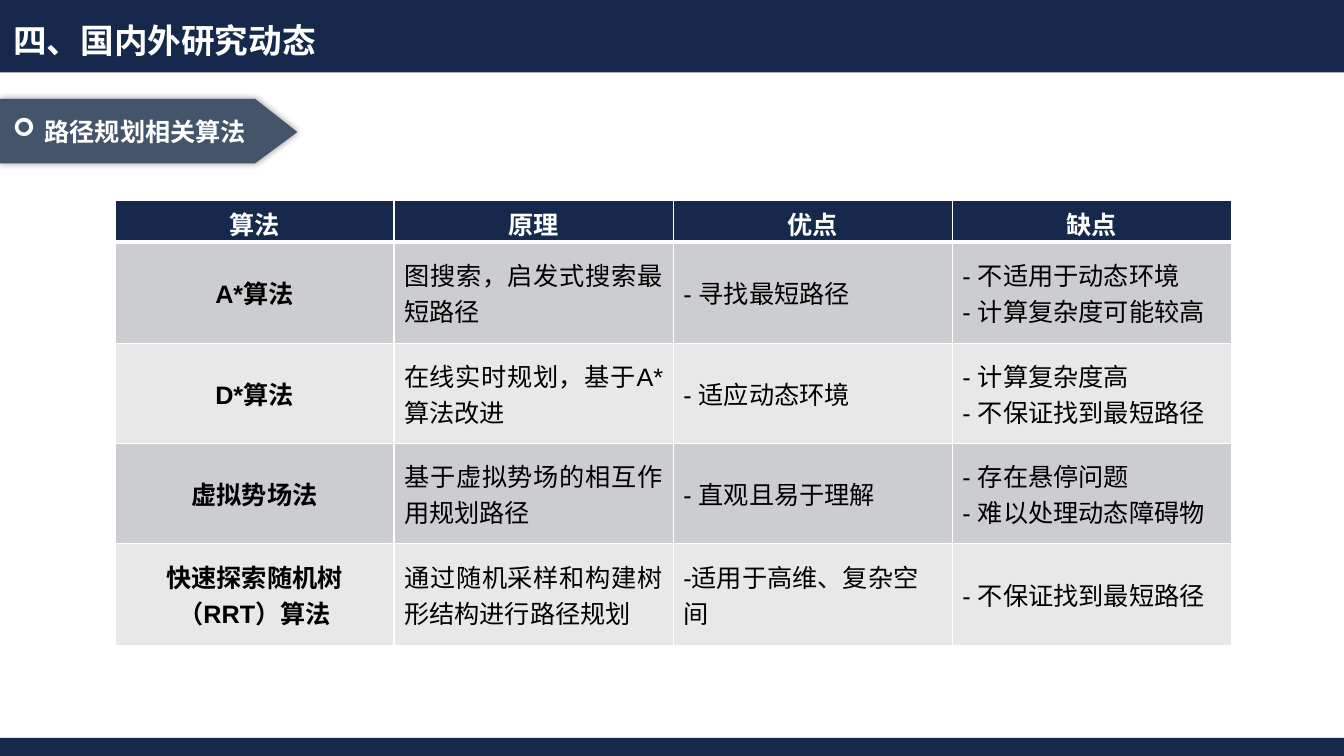
import pptx
import pptx.util
import pptx.dml.color
import pptx.enum.text
import pptx.enum.shapes
import pptx.oxml
import pptx.oxml.ns

Pt = pptx.util.Pt
ALIGN = pptx.enum.text.PP_ALIGN
CJK = "Noto Sans CJK SC"
LATIN = "Arial"
COLORS = {"navy": "16294C", "slate": "44546A", "white": "FFFFFF",
          "black": "000000", "dark_row": "CCCDD0", "light_row": "E8E8E9"}

TITLE = "四、国内外研究动态"
TOPIC = "路径规划相关算法"
HEADINGS = ["算法", "原理", "优点", "缺点"]
ALGORITHMS = [
    (["A*算法"], ["图搜索，启发式搜索最短路径"], ["- 寻找最短路径"],
     ["- 不适用于动态环境", "- 计算复杂度可能较高"]),
    (["D*算法"], ["在线实时规划，基于A*算法改进"], ["- 适应动态环境"],
     ["- 计算复杂度高", "- 不保证找到最短路径"]),
    (["虚拟势场法"], ["基于虚拟势场的相互作用规划路径"], ["- 直观且易于理解"],
     ["- 存在悬停问题", "- 难以处理动态障碍物"]),
    (["快速探索随机树", "（RRT）算法"], ["通过随机采样和构建树形结构进行路径规划"],
     ["-适用于高维、复杂空间"], ["- 不保证找到最短路径"]),
]
COLUMN_ALIGN = [ALIGN.CENTER, ALIGN.JUSTIFY, ALIGN.LEFT, ALIGN.LEFT]
COLUMN_WIDTH = 199.4
ROW_HEIGHTS = [29.6, 72.4, 71.6, 71.6, 72.4]
BANDS = [(0, 51.8), (527, 15)]
BANNER = [(212.4, 94.3), (182.2, 116.6), (0, 116.6), (0, 70.6), (182.2, 70.6)]


def rgb(name):
    """Return the named colour."""
    return pptx.dml.color.RGBColor.from_string(COLORS[name])


def xml(markup):
    """Parse a DrawingML fragment."""
    tag, rest = markup.split(" ", 1)
    return pptx.oxml.parse_xml(f"{tag} {pptx.oxml.ns.nsdecls('a')} {rest}")


def write(frame, lines, *, size=18, font=LATIN, color="black", bold=False,
          align=ALIGN.LEFT, bullet=None, indent=0):
    """Fill a text frame with formatted paragraphs."""
    for number, line in enumerate(lines):
        paragraph = frame.add_paragraph() if number else frame.paragraphs[0]
        paragraph.alignment = align
        run = paragraph.add_run()
        run.text = line
        run.font.size = Pt(size)
        run.font.name = font
        run.font.bold = bold
        run.font.color.rgb = rgb(color)
        run.font._element.append(xml(f'<a:ea typeface="{CJK}"/>'))
        if bullet:
            properties = paragraph._p.get_or_add_pPr()
            properties.set("marL", str(Pt(indent)))
            properties.set("indent", str(-Pt(indent)))
            properties.append(xml('<a:buFont typeface="Wingdings"/>'))
            properties.append(xml(f'<a:buChar char="{bullet}"/>'))


def paint(shape, color):
    """Give a shape a plain fill without outline or shadow."""
    shape.shadow.inherit = False
    shape.fill.solid()
    shape.fill.fore_color.rgb = rgb(color)
    shape.line.fill.background()


def add_label(shapes, text, left, top, width, height, **style):
    """Add a one-line white heading."""
    label = shapes.add_textbox(Pt(left), Pt(top), Pt(width), Pt(height))
    label.text_frame.word_wrap = False
    label.text_frame.auto_size = pptx.enum.text.MSO_AUTO_SIZE.SHAPE_TO_FIT_TEXT
    write(label.text_frame, [text], font=CJK, color="white", bold=True,
          align=ALIGN.RIGHT, **style)


def add_banner(slide):
    """Add the arrow-shaped topic banner."""
    group = slide.shapes.add_group_shape()
    builder = group.shapes.build_freeform(
        Pt(BANNER[0][0]), Pt(BANNER[0][1]), scale=1.0)
    builder.add_line_segments([(Pt(x), Pt(y)) for x, y in BANNER[1:]], close=True)
    arrow = builder.convert_to_shape()
    paint(arrow, "slate")
    effects = arrow._element.spPr.find(pptx.oxml.ns.qn("a:effectLst"))
    effects.append(xml(
        f'<a:outerShdw blurRad="{Pt(5)}" dist="0" dir="0" algn="ctr" rotWithShape="0">'
        f'<a:srgbClr val="{COLORS["black"]}"><a:alpha val="40000"/></a:srgbClr>'
        '</a:outerShdw>'))
    add_label(group.shapes, TOPIC, 0, 79.2, 182.9, 29, bullet="➢", indent=22.5)


def style_cell(cell, fill, bottom_border):
    """Set the borders, fill and anchor of a table cell."""
    properties = cell._tc.get_or_add_tcPr()
    for side, width in (("L", 1), ("R", 1), ("T", 1), ("B", bottom_border)):
        properties.append(xml(
            f'<a:ln{side} w="{Pt(width)}"><a:solidFill>'
            f'<a:srgbClr val="{COLORS["white"]}"/></a:solidFill></a:ln{side}>'))
    cell.fill.solid()
    cell.fill.fore_color.rgb = rgb(fill)
    cell.vertical_anchor = pptx.enum.text.MSO_ANCHOR.MIDDLE


def add_comparison(slide):
    """Add the table that compares the algorithms."""
    rows = [[[heading] for heading in HEADINGS], *ALGORITHMS]
    table = slide.shapes.add_table(
        len(rows), len(HEADINGS), Pt(82.1), Pt(143.3),
        Pt(COLUMN_WIDTH * len(HEADINGS)), Pt(sum(ROW_HEIGHTS))).table
    for column in table.columns:
        column.width = Pt(COLUMN_WIDTH)
    for r, row in enumerate(rows):
        table.rows[r].height = Pt(ROW_HEIGHTS[r])
        header = r == 0
        fill = "navy" if header else "dark_row" if r % 2 else "light_row"
        for c, lines in enumerate(row):
            cell = table.cell(r, c)
            style_cell(cell, fill, 3 if header else 1)
            if header:
                cell.margin_top, cell.margin_bottom = Pt(3.5), Pt(0)
            write(cell.text_frame, lines, color="white" if header else "black",
                  bold=header or c == 0,
                  align=ALIGN.CENTER if header else COLUMN_ALIGN[c])


def main():
    """Build the slide and save it."""
    deck = pptx.Presentation()
    deck.slide_width, deck.slide_height = Pt(960), Pt(540)
    slide = deck.slides.add_slide(deck.slide_layouts[6])
    for top, height in BANDS:
        band = slide.shapes.add_shape(pptx.enum.shapes.MSO_SHAPE.RECTANGLE,
                                      Pt(0), Pt(top), deck.slide_width, Pt(height))
        paint(band, "navy")
    add_label(slide.shapes, TITLE, 0, 10.8, 232.6, 36, size=24)
    add_banner(slide)
    add_comparison(slide)
    deck.save("out.pptx")


if __name__ == "__main__":
    main()
